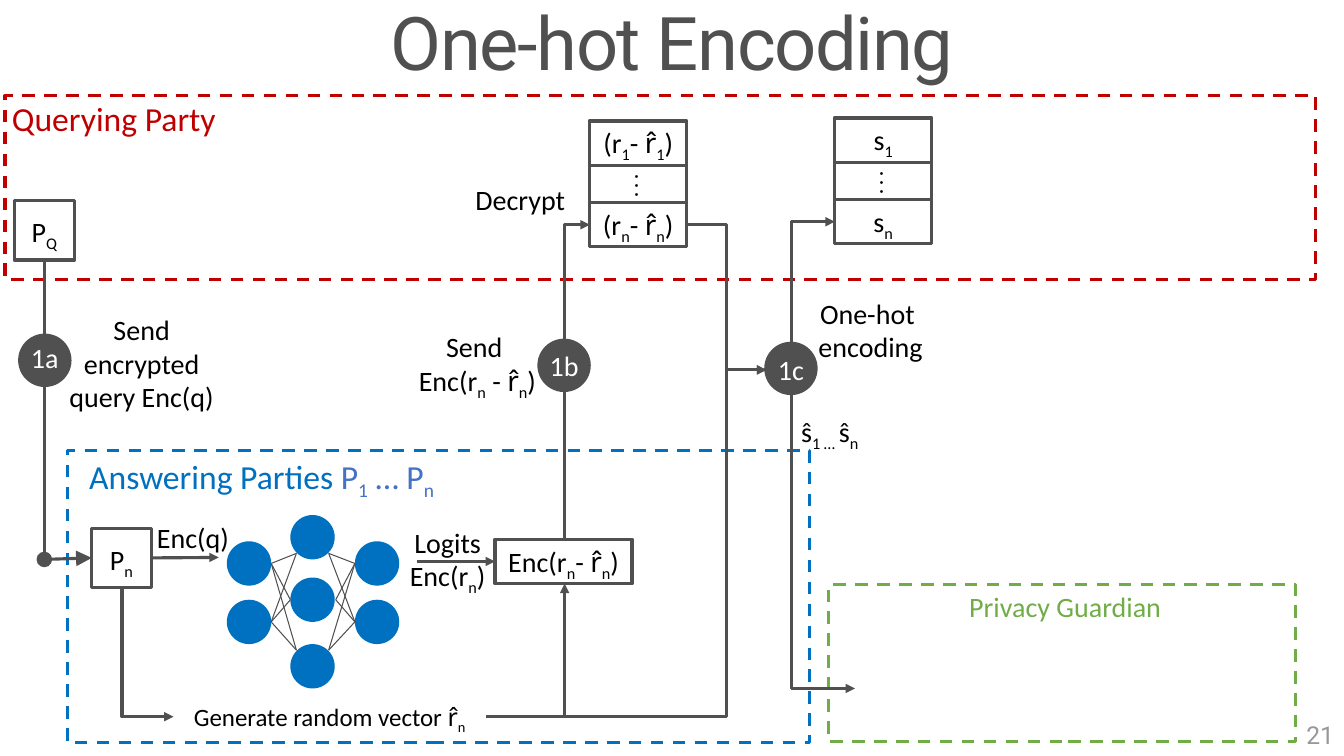
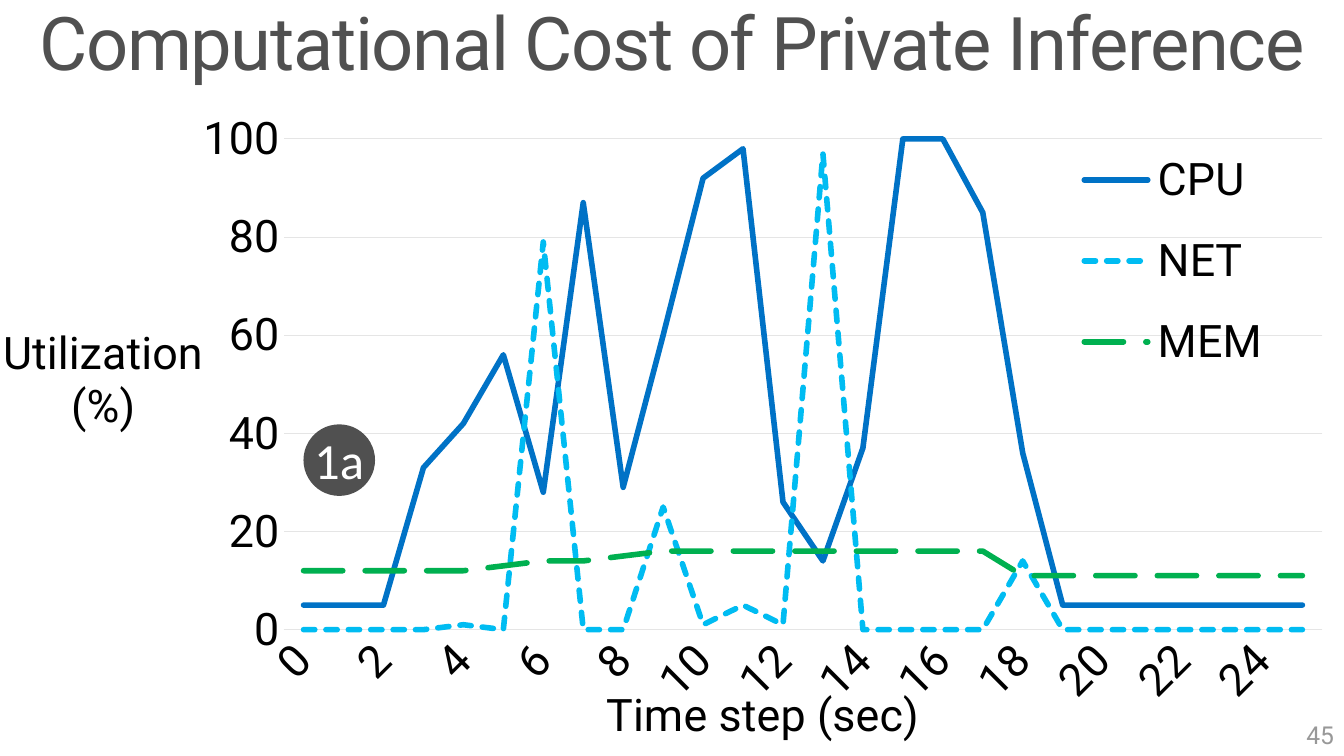
"""Build two slides: the one-hot encoding protocol and its computational cost."""
import itertools

import pptx
import pptx.chart.data
import pptx.dml.color
import pptx.enum.chart
import pptx.enum.dml
import pptx.enum.shapes
import pptx.enum.text
import pptx.oxml
import pptx.oxml.ns
import pptx.util
from lxml import etree

Inches, Pt = pptx.util.Inches, pptx.util.Pt
RGB = pptx.dml.color.RGBColor.from_string
qn = pptx.oxml.ns.qn
SHAPE = pptx.enum.shapes.MSO_SHAPE
CONNECTOR = pptx.enum.shapes.MSO_CONNECTOR
ALIGN = pptx.enum.text.PP_ALIGN
DASH = pptx.enum.dml.MSO_LINE


class Theme:
    heading, body = "Roboto", "Calibri"
    gray, black, white = RGB("505050"), RGB("000000"), RGB("FFFFFF")
    page, grid = RGB("989898"), RGB("E5E5E5")
    red, blue, accent, green = RGB("C00000"), RGB("0070C0"), RGB("4472C4"), RGB("70AD47")
    cpu, net, mem = RGB("0072C6"), RGB("00BCF2"), RGB("00B050")
    title, chart, badge = Pt(52.9), Pt(32), Pt(36.2)
    party, label, note, number, dots = Pt(24), Pt(20), Pt(17.8), Pt(17.6), Pt(13.3)
    stroke, thin, series = Pt(2.25), Pt(0.75), Pt(4)


def add_box(s, at, text="", shape=None, fill=None, line=None, dash=None,
            align=ALIGN.CENTER, inset=0.05, **fmt):
    """Add a shape or text box; text between underscores is subscript."""
    at = [Inches(v) for v in at]
    sp = s.shapes.add_shape(shape, *at) if shape else s.shapes.add_textbox(*at)
    if shape:
        sp.shadow.inherit = False
        for part, color in ((sp.fill, fill), (sp.line.fill, line)):
            if color:
                part.solid()
                part.fore_color.rgb = color
            else:
                part.background()
        if line:
            sp.line.width = Theme.stroke
            sp.line.dash_style = dash
    tf = sp.text_frame
    tf.word_wrap = True
    tf.vertical_anchor = pptx.enum.text.MSO_ANCHOR.TOP
    tf.margin_top = Inches(inset)
    if fill:
        tf.margin_left = tf.margin_right = 0
    color = fmt.pop("color", Theme.black)
    fmt = {"size": Theme.label, "name": Theme.body, **fmt}
    for i, row in enumerate(text.split("\n") if text else []):
        p = tf.add_paragraph() if i else tf.paragraphs[0]
        p.alignment = align
        for j, part in enumerate(row.split("_")):
            if part:
                r = p.add_run()
                r.text = part
                for key, value in fmt.items():
                    setattr(r.font, key, value)
                r.font.color.rgb = color
                if j % 2:
                    r.font._element.set("baseline", "-25000")
    return sp


def add_link(s, start, end, bend=None, width=Theme.stroke, head=None, tail="triangle", size="med"):
    """Add a connector; bend is a share of the width, or the axis of the first leg."""
    kind = CONNECTOR.ELBOW if bend else CONNECTOR.STRAIGHT
    c = s.shapes.add_connector(kind, *[Inches(v) for v in (*start, *end)])
    c.line.color.rgb = Theme.gray
    c.line.width = width
    spPr = c._element.spPr
    geom = spPr.find(qn("a:prstGeom"))
    if bend in ("h", "v"):
        geom.set("prst", "bentConnector2")
    elif bend:
        gd = etree.SubElement(geom.find(qn("a:avLst")), qn("a:gd"))
        gd.set("name", "adj1")
        gd.set("fmla", f"val {round(bend * 100000)}")
    if bend == "v":
        x, y, w, h = c.left, c.top, c.width, c.height
        c.left, c.top = x + (w - h) // 2, y + (h - w) // 2
        c.width, c.height = h, w
        c.rotation = 90 if end[1] < start[1] else 270
        spPr.find(qn("a:xfrm")).set("flipH", "1")
    for tag, arrow in (("a:headEnd", head), ("a:tailEnd", tail)):
        if arrow:
            tip = etree.SubElement(spPr.find(qn("a:ln")), qn(tag))
            for key, value in {"type": arrow, "w": size, "len": size}.items():
                tip.set(key, value)
    etree.SubElement(spPr, qn("a:effectLst"))
    return c


prs = pptx.Presentation()
prs.slide_width, prs.slide_height = Inches(13.33), Inches(7.5)
slides = []
for title, number in (("One-hot Encoding", "21"), ("Computational Cost of Private Inference", "45")):
    s = prs.slides.add_slide(prs.slide_layouts[5])
    slides.append(s)
    sp = s.shapes.title
    sp.left, sp.top, sp.width, sp.height = Inches(0), Inches(0), Inches(13.33), Inches(0.93)
    tf = sp.text_frame
    tf.text = title
    tf.word_wrap = True
    tf.auto_size = pptx.enum.text.MSO_AUTO_SIZE.NONE
    tf.vertical_anchor = pptx.enum.text.MSO_ANCHOR.MIDDLE
    p = tf.paragraphs[0]
    p.alignment, p.line_spacing = ALIGN.CENTER, 0.9
    r = p.runs[0]
    for key, value in {"size": Theme.title, "name": Theme.heading}.items():
        setattr(r.font, key, value)
    r.font.color.rgb = Theme.gray
    r.font._element.set("spc", "-100")
    add_box(s, (10.33, 7.09, 3, 0.4), number, align=ALIGN.RIGHT,
            size=Theme.number, name=Theme.heading, color=Theme.page)

s = slides[0]
outline = {"shape": SHAPE.RECTANGLE, "line": Theme.gray}

for at, color in (
    ((0.05, 0.95, 13, 1.82), Theme.red),
    ((0.67, 4.47, 7.36, 2.9), Theme.blue),
    ((8.22, 5.8, 4.63, 1.56), Theme.green),
):
    add_box(s, at, shape=SHAPE.RECTANGLE, line=color, dash=DASH.DASH)
add_box(s, (-0.12, 0.92, 2.5, 0.5), "Querying Party", size=Theme.party, color=Theme.red)
answering = add_box(s, (0.7, 4.47, 3.79, 0.5), "Answering Parties __P_1_ … P_n",
                    size=Theme.party, color=Theme.blue)
for r in answering.text_frame.paragraphs[0].runs[1:]:
    r.font.color.rgb = Theme.accent
add_box(s, (8.67, 5.8, 3.79, 0.44), "Privacy Guardian", color=Theme.green)

querier = add_box(s, (0.14, 1.99, 0.6, 0.59), "P_Q", inset=0.14, **outline)
answerer = add_box(s, (0.91, 5.24, 0.59, 0.59), "P_n", inset=0.14, **outline)
masked = add_box(s, (4.91, 5.35, 1.36, 0.44), "Enc(r_n_- r̂_n_)", **outline)

for left, top, first, last in (
    (5.85, 1.2, "(r_1_- r̂_1_)", "(r_n_- r̂_n_)"),
    (8.28, 1.17, "s_1", "s_n"),
):
    add_box(s, (left, top, 0.96, 1.25), **outline)
    add_box(s, (left, top, 0.96, 0.44), first, **outline)
    add_box(s, (left, top + 0.81, 0.96, 0.44), last, **outline)
    dots = add_box(s, (left + 0.27, top + 0.48, 0.5, 0.33), ". . .", size=Theme.dots, bold=True)
    dots.rotation = 90

for at, text in (
    ((3.94, 5.16, 1, 0.77), "Logits\nEnc(r_n_)"),
    ((0.48, 3.05, 1.85, 1.11), "Send encrypted query Enc(q)"),
    ((1.43, 5.11, 0.97, 0.44), "Enc(q)"),
    ((3.87, 3.22, 1.73, 0.77), "Send \nEnc(r_n_ - r̂_n_)"),
    ((4.54, 1.76, 1.24, 0.44), "Decrypt"),
    ((7.95, 2.89, 1.37, 0.77), "One-hot \nencoding"),
    ((7.56, 4.06, 1.34, 0.44), "ŝ_1 … _ŝ_n"),
):
    add_box(s, at, text)
add_box(s, (1.72, 6.91, 3.1, 0.4), "Generate random vector r̂_n", size=Theme.note)

add_link(s, (0.44, 5.53), (0.44, 2.58), tail=None).end_connect(querier, 2)
add_link(s, (0.44, 5.55), (0.91, 5.53), head="oval", size="lg").end_connect(answerer, 1)
add_link(s, (1.5, 5.53), (2.17, 5.53)).begin_connect(answerer, 3)
add_link(s, (4.14, 5.57), (4.91, 5.57)).end_connect(masked, 1)
for start, end, bend in (
    ((5.6, 5.35), (5.85, 2.23), "v"),
    ((7.85, 3.39), (8.28, 2.2), "v"),
    ((7.85, 3.89), (8.48, 6.83), "v"),
    ((1.21, 5.83), (1.72, 7.11), "v"),
    ((4.82, 7.11), (5.6, 5.79), "h"),
    ((4.82, 7.11), (7.6, 3.67), 6 / 7),
    ((6.81, 2.23), (7.6, 3.67), 0.5),
):
    add_link(s, start, end, bend)

for left, top, text, inset in (
    (0.18, 3.31, "1a", 0.07), (5.33, 3.36, "1b", 0.1), (7.58, 3.39, "1c", 0.11),
):
    add_box(s, (left, top, 0.53, 0.53), text, shape=SHAPE.OVAL, fill=Theme.gray,
            color=Theme.white, inset=inset - 0.08)

outer_tops, hidden_tops = (5.37, 5.95), (5.11, 5.73, 6.39)
neurons = [*itertools.product((2.25, 3.52), outer_tops), *itertools.product((2.88,), hidden_tops)]
for left, top in neurons:
    add_box(s, (left, top, 0.44, 0.44), shape=SHAPE.OVAL, fill=Theme.blue)
left_ports = ((2.94, 5.49), (2.88, 5.95), (2.94, 6.45))
right_ports = ((3.26, 5.49), (3.33, 5.95), (3.26, 6.45))
for x, ports in ((2.69, left_ports), (3.52, right_ports)):
    for top, port in itertools.product(outer_tops, ports):
        add_link(s, (x, top + 0.22), port, width=Theme.thin, tail=None)

s = slides[1]
data = pptx.chart.data.CategoryChartData()
data.categories = [str(second) for second in range(26)]
usage = (
    ("CPU", Theme.cpu, DASH.SOLID, [5, 5, 5, 33, 42, 56, 28, 87, 29, 60, 92, 98, 26, 14, 37,
                                    100, 100, 85, 36] + [5] * 7),
    ("NET", Theme.net, DASH.SQUARE_DOT, [0, 0, 0, 0, 1, 0, 79, 0, 0, 25, 1, 5, 1, 97, 0,
                                         0, 0, 0, 14] + [0] * 7),
    ("MEM", Theme.mem, DASH.LONG_DASH, [12] * 5 + [13, 14, 14, 15] + [16] * 9 + [11] * 8),
)
for name, color, dash, values in usage:
    data.add_series(name, values)
frame = s.shapes.add_chart(pptx.enum.chart.XL_CHART_TYPE.LINE,
                           Inches(0), Inches(1.05), Inches(13.33), Inches(6.45), data)
chart = frame.chart
chart.has_title = False
chart.has_legend = True
legend = chart.legend
legend.position = pptx.enum.chart.XL_LEGEND_POSITION.RIGHT
legend.include_in_layout = False
plot = chart.plots[0]
plot.vary_by_categories = False
for ser, (name, color, dash, values) in zip(plot.series, usage):
    ser.smooth = False
    ser.format.line.color.rgb = color
    ser.format.line.width = Theme.series
    ser.format.line.dash_style = dash
    ser._element.find(".//" + qn("a:ln")).set("cap", "rnd")

cat, val = chart.category_axis, chart.value_axis
for axis, text in ((cat, "Time step (sec)"), (val, "Utilization\n(%)")):
    axis.major_tick_mark = axis.minor_tick_mark = pptx.enum.chart.XL_TICK_MARK.NONE
    tf = axis.axis_title.text_frame
    tf.text = text
    tf._txBody.bodyPr.set("rot", "0")
    tf._txBody.bodyPr.set("vert", "horz")
    fonts = [p.font for p in tf.paragraphs]
    for font in (chart.font, legend.font, axis.tick_labels.font, *fonts):
        for key, value in {"size": Theme.chart, "name": Theme.heading, "bold": False}.items():
            setattr(font, key, value)
        font.color.rgb = Theme.black
val.minimum_scale, val.maximum_scale, val.major_unit = 0, 100, 20
val.has_major_gridlines = True
val.format.line.fill.background()
for line in (cat.format.line, val.major_gridlines.format.line):
    line.color.rgb = Theme.grid
    line.width = Theme.thin
cat._element.find(qn("c:txPr")).find(qn("a:bodyPr")).set("rot", "-2700000")
skip = etree.Element(qn("c:tickLblSkip"))
skip.set("val", "2")
cat._element.find(qn("c:noMultiLvlLbl")).addprevious(skip)

for owner, before, target, percents in (
    (chart._chartSpace.chart.plotArea, None, "inner", (21.1, 5.1, 77.3, 75.5)),
    (legend._element, "c:legendPos", None, (79.3, 3, 16, 41.7)),
    (cat.axis_title._element, "c:tx", None, (44.5, 87.8)),
    (val.axis_title._element, "c:tx", None, (0, 33.4)),
):
    for old in owner.findall(qn("c:layout")):
        owner.remove(old)
    layout = etree.Element(qn("c:layout"))
    if before:
        owner.find(qn(before)).addnext(layout)
    else:
        owner.insert(0, layout)
    manual = etree.SubElement(layout, qn("c:manualLayout"))
    settings = [("layoutTarget", target)] if target else []
    settings += [("xMode", "edge"), ("yMode", "edge")]
    settings += [(tag, percent / 100) for tag, percent in zip("xywh", percents)]
    for tag, value in settings:
        etree.SubElement(manual, qn("c:" + tag)).set("val", str(value))

add_box(s, (3.01, 4.21, 0.71, 0.71), "1a", shape=SHAPE.OVAL, fill=Theme.gray,
        size=Theme.badge, color=Theme.white, inset=-0.06)
prs.save("out.pptx")
